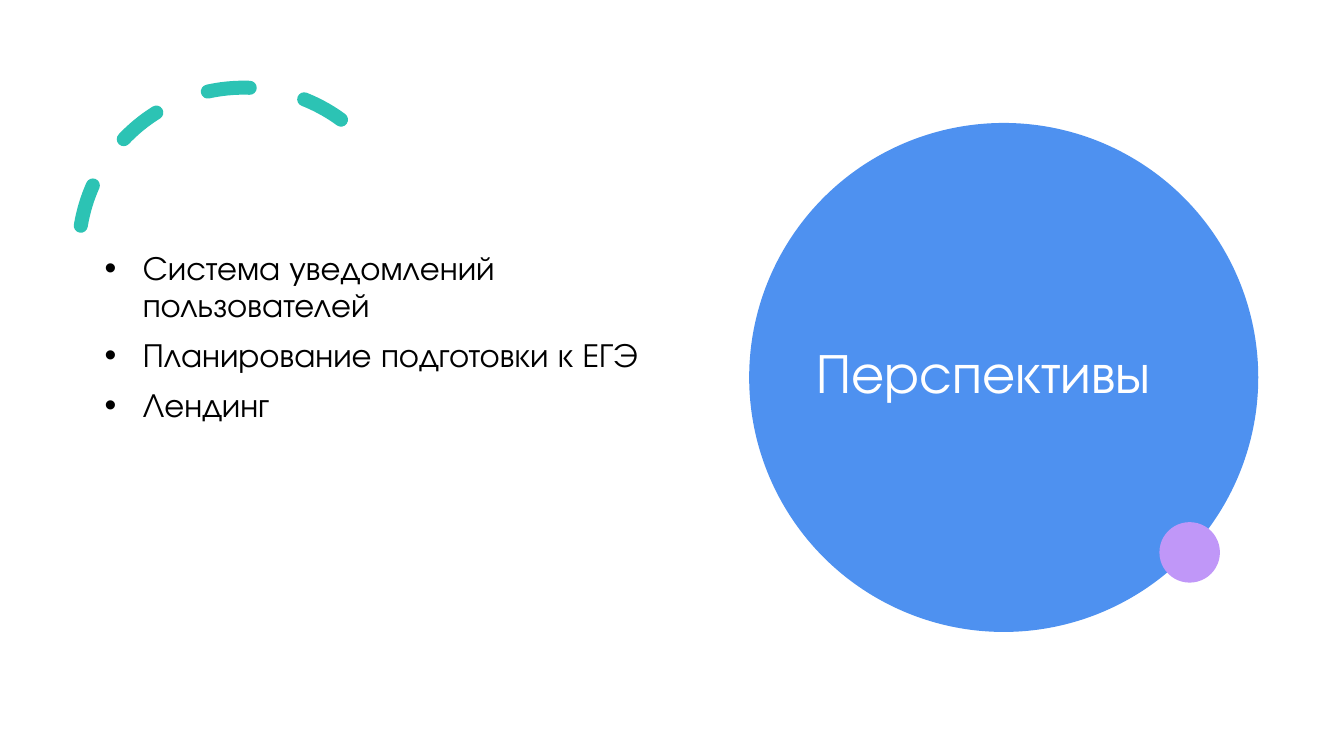
import dataclasses

import lxml.etree
import pptx
import pptx.dml.color
import pptx.enum.dml
import pptx.enum.shapes
import pptx.enum.text
import pptx.oxml.ns
import pptx.util


@dataclasses.dataclass(frozen=True)
class Theme:
    font: str = "TeX Gyre Adventor"
    paper: str = "FFFFFF"
    ink: str = "000000"
    blue: str = "4E91F0"
    teal: str = "2CC3B4"
    violet: str = "C097F8"
    title: int = 40
    body: int = 24
    stroke: int = 10
    leading: float = 0.9
    gap: int = 10
    indent: float = 0.38


class Deck:
    def __init__(self, theme):
        self.theme = theme
        self.prs = pptx.Presentation()
        self.prs.slide_width = pptx.util.Inches(13.33)
        self.prs.slide_height = pptx.util.Inches(7.5)
        self.s = self.prs.slides.add_slide(self.prs.slide_layouts[6])
        self.s.background.fill.solid()
        self.s.background.fill.fore_color.rgb = self.color(theme.paper)

    def color(self, value):
        return pptx.dml.color.RGBColor.from_string(value)

    def x(self, percent):
        return round(self.prs.slide_width * percent / 100)

    def y(self, percent):
        return round(self.prs.slide_height * percent / 100)

    def round_shape(self, kind, left, top, diameter):
        size = self.x(diameter)
        sp = self.s.shapes.add_shape(kind, self.x(left), self.y(top), size, size)
        sp.shadow.inherit = False
        return sp

    def circle(self, left, top, diameter, fill):
        sp = self.round_shape(pptx.enum.shapes.MSO_SHAPE.OVAL, left, top, diameter)
        sp.fill.solid()
        sp.fill.fore_color.rgb = self.color(fill)
        sp.line.fill.background()

    def dashed_arc(self, left, top, diameter, start, end, rotation):
        sp = self.round_shape(pptx.enum.shapes.MSO_SHAPE.ARC, left, top, diameter)
        sp.adjustments[0], sp.adjustments[1] = start, end
        sp.rotation = rotation
        sp.fill.background()
        sp.line.color.rgb = self.color(self.theme.teal)
        sp.line.width = pptx.util.Pt(self.theme.stroke)
        sp.line.dash_style = pptx.enum.dml.MSO_LINE.DASH
        sp.element.spPr.find(pptx.oxml.ns.qn("a:ln")).set("cap", "rnd")
        sp.element.spPr.find(pptx.oxml.ns.qn("a:xfrm")).set("flipH", "1")

    def text_frame(self, left, top, width, height):
        sp = self.s.shapes.add_textbox(self.x(left), self.y(top), self.x(width), self.y(height))
        tf = sp.text_frame
        tf.word_wrap = True
        return tf

    def run(self, p, text, size, color):
        p.line_spacing = self.theme.leading
        r = p.add_run()
        r.text = text
        r.font.name = self.theme.font
        r.font.size = pptx.util.Pt(size)
        r.font.color.rgb = self.color(color)

    def title(self, text, *box):
        tf = self.text_frame(*box)
        tf.vertical_anchor = pptx.enum.text.MSO_ANCHOR.MIDDLE
        self.run(tf.paragraphs[0], text, self.theme.title, self.theme.paper)

    def bullets(self, items, *box, inset):
        tf = self.text_frame(*box)
        tf.margin_top = self.y(inset)
        indent = pptx.util.Inches(self.theme.indent)
        for i, item in enumerate(items):
            p = tf.add_paragraph() if i else tf.paragraphs[0]
            p.space_before = pptx.util.Pt(self.theme.gap if i else 0)
            self.run(p, item, self.theme.body, self.theme.ink)
            pPr = p._p.get_or_add_pPr()
            pPr.set("marL", str(indent))
            pPr.set("indent", str(-indent))
            font = lxml.etree.SubElement(pPr, pptx.oxml.ns.qn("a:buFont"))
            font.set("typeface", "Arial")
            bullet = lxml.etree.SubElement(pPr, pptx.oxml.ns.qn("a:buChar"))
            bullet.set("char", "•")

    def save(self):
        self.prs.save("out.pptx")


def main():
    theme = Theme()
    deck = Deck(theme)
    deck.dashed_arc(5.85, 11.6, 24.53, start=158.17, end=17.81, rotation=29.9)
    deck.circle(55.74, 16.27, 37.88, theme.blue)
    deck.title("Перспективы", 60, 20.27, 29.33, 58.8)
    deck.bullets(
        ["Система уведомлений пользователей", "Планирование подготовки к ЕГЭ", "Лендинг"],
        7.05, 26, 45.39, 57.33, inset=7.3,
    )
    deck.circle(86.27, 69.07, 4.5, theme.violet)
    deck.save()


if __name__ == "__main__":
    main()
